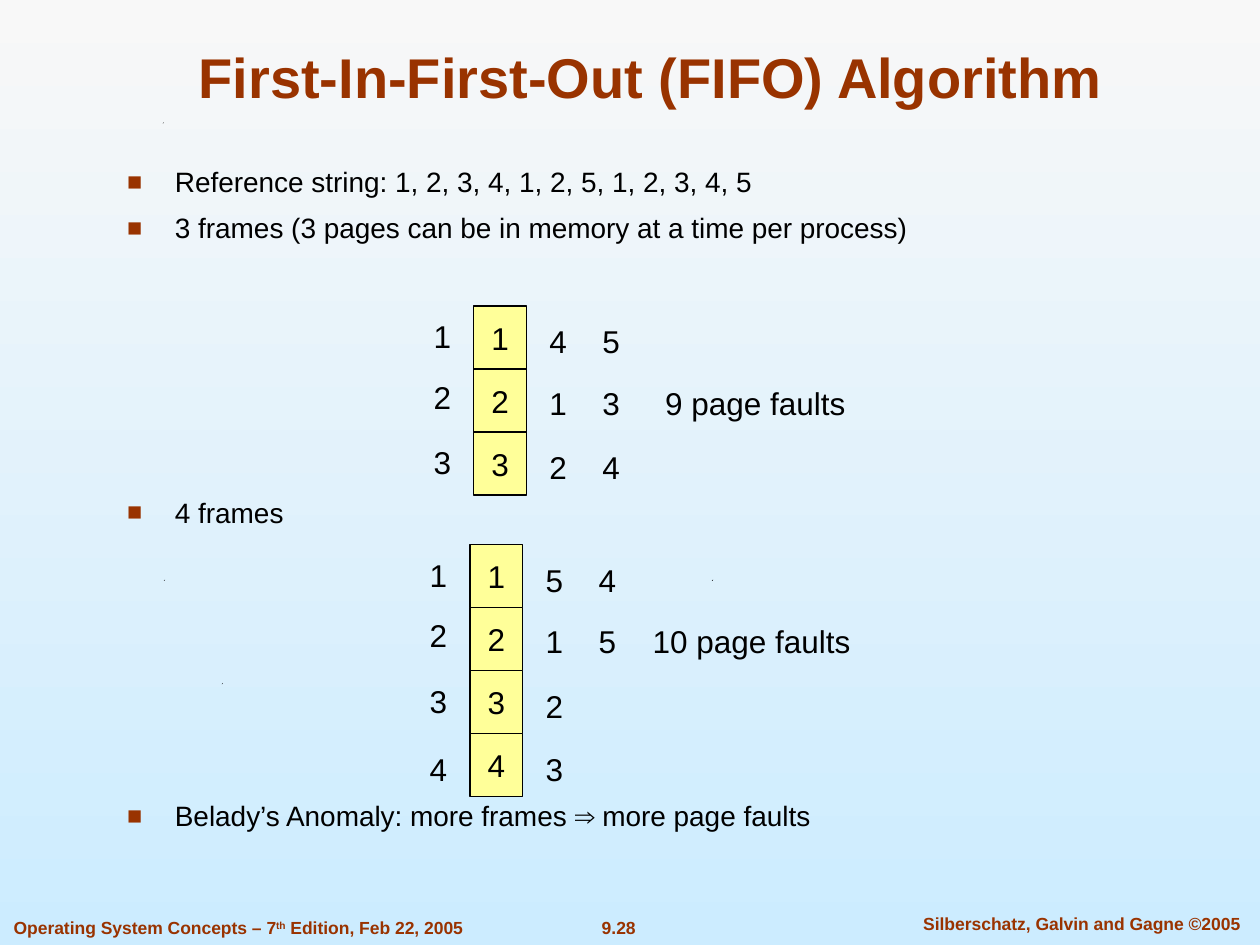
from lxml.etree import SubElement
from pptx import Presentation
from pptx.dml.color import RGBColor
from pptx.enum.shapes import MSO_SHAPE
from pptx.enum.text import MSO_ANCHOR, PP_ALIGN
from pptx.oxml.ns import qn
from pptx.util import Inches, Pt

COLORS = {
    "rust": "993300",
    "black": "000000",
    "frame": "FFFF99",
    "sky_top": "F8F8F8",
    "sky_bottom": "CCECFF",
}
FONT = "Arial"
FRAME_WIDTH, FRAME_HEIGHT = 0.42, 0.5
LABEL_TOPS = (0.04, 0.52, 1.04, 1.58)
LOAD_TOPS = (0.08, 0.57, 1.08, 1.58)


def color(name):
    return RGBColor.from_string(COLORS[name])


def add_span(para, text, size, color_name="black", bold=False):
    span = para.add_run()
    span.text = text
    span.font.name = FONT
    span.font.size = Pt(size)
    span.font.bold = bold
    span.font.color.rgb = color(color_name)
    return span


def add_box(page, left, top, width, height, anchor=MSO_ANCHOR.TOP, align=PP_ALIGN.CENTER, wrap=False):
    box = page.shapes.add_textbox(Inches(left), Inches(top), Inches(width), Inches(height))
    box.text_frame.word_wrap = wrap
    box.text_frame.vertical_anchor = anchor
    box.text_frame.paragraphs[0].alignment = align
    return box


def add_background(page):
    fill = page.background.fill
    fill.gradient()
    fill.gradient_angle = 270
    for stop, position, name in zip(fill.gradient_stops, (0, 1), ("sky_top", "sky_bottom")):
        stop.position = position
        stop.color.rgb = color(name)


def add_speck(page, left, top):
    size = 0.01
    builder = page.shapes.build_freeform(Inches(left), Inches(top + size))
    builder.add_line_segments([(Inches(left + size), Inches(top)), (Inches(left + size / 2), Inches(top + size))])
    speck = builder.convert_to_shape()
    speck.shadow.inherit = False
    speck.fill.solid()
    speck.fill.fore_color.rgb = color("black")
    speck.line.fill.background()


def add_title(page, left, top, width, height):
    box = add_box(page, left, top, width, height, MSO_ANCHOR.BOTTOM, wrap=True)
    add_span(box.text_frame.paragraphs[0], "First-In-First-Out (FIFO) Algorithm", 32, "rust", True)


def add_bullet(para):
    properties = para._p.get_or_add_pPr()
    properties.set("marL", str(Inches(0.38)))
    properties.set("indent", str(-Inches(0.38)))
    bullet_color = SubElement(properties, qn("a:buClr"))
    SubElement(bullet_color, qn("a:srgbClr"), val=COLORS["rust"])
    SubElement(properties, qn("a:buSzPct"), val="90000")
    SubElement(properties, qn("a:buFont"), typeface=FONT)
    SubElement(properties, qn("a:buChar"), char="■")


def add_body(page, left, top, width, height):
    box = add_box(page, left, top, width, height, align=PP_ALIGN.LEFT, wrap=True)
    frame = box.text_frame
    bullets = (
        (0, "Reference string: 1, 2, 3, 4, 1, 2, 5, 1, 2, 3, 4, 5"),
        (7, "3 frames (3 pages can be in memory at a time per process)"),
        (143.4, "4 frames"),
        (154.2, "Belady’s Anomaly: more frames ⇒ more page faults"),
    )
    for index, (gap, text) in enumerate(bullets):
        para = frame.add_paragraph() if index else frame.paragraphs[0]
        add_bullet(para)
        para.space_before = Pt(gap)
        add_span(para, text, 16)


def add_frame(page, left, top, text):
    box = page.shapes.add_shape(
        MSO_SHAPE.RECTANGLE, Inches(left), Inches(top), Inches(FRAME_WIDTH), Inches(FRAME_HEIGHT)
    )
    box.shadow.inherit = False
    box.fill.solid()
    box.fill.fore_color.rgb = color("frame")
    box.line.color.rgb = color("black")
    box.line.width = Pt(0.75)
    box.text_frame.word_wrap = False
    box.text_frame.vertical_anchor = MSO_ANCHOR.MIDDLE
    para = box.text_frame.paragraphs[0]
    para.alignment = PP_ALIGN.CENTER
    add_span(para, text, 18)


def add_label(page, left, top, text, width=0.34):
    box = add_box(page, left, top, width, 0.4, MSO_ANCHOR.MIDDLE)
    add_span(box.text_frame.paragraphs[0], text, 18)


def add_memory(page, left, top, frames, loads, faults):
    for row, text in enumerate(frames):
        add_frame(page, left, top + row * FRAME_HEIGHT, text)
    columns = ((-0.42, LABEL_TOPS, frames), (0.5, LOAD_TOPS, loads[0]), (0.92, LOAD_TOPS, loads[1]))
    for offset, tops, values in columns:
        for row_top, text in zip(tops, values):
            add_label(page, left + offset, top + row_top, text)
    add_label(page, left + 1.35, top + LOAD_TOPS[1], faults, 1.77)


def add_footer(page, top, height):
    edition = add_box(page, 0.01, top, 4.3, height, align=PP_ALIGN.LEFT, wrap=True)
    para = edition.text_frame.paragraphs[0]
    add_span(para, "Operating System Concepts – 7", 10, "rust", True)
    ordinal = add_span(para, "th", 10, "rust", True)
    ordinal._r.get_or_add_rPr().set("baseline", "30000")
    add_span(para, " Edition, Feb 22, 2005", 10, "rust", True)
    number = add_box(page, 4.42, top, 0.98, height)
    add_span(number.text_frame.paragraphs[0], "9.28", 10, "rust", True)
    rights = add_box(page, 7.1, top - 0.03, 2.97, height, wrap=True)
    add_span(rights.text_frame.paragraphs[0], "Silberschatz, Galvin and Gagne ©2005", 10, "rust", True)


def main():
    deck = Presentation()
    deck.slide_width, deck.slide_height = Inches(10), Inches(7.5)
    page = deck.slides.add_slide(deck.slide_layouts[6])
    add_background(page)
    for left, top in ((1.76, 5.42), (1.3, 4.6), (5.65, 4.6), (1.29, 0.97)):
        add_speck(page, left, top)
    add_footer(page, 7.23, 0.27)
    add_title(page, 0.75, 0.25, 8.83, 0.67)
    add_body(page, 0.91, 1.26, 7.69, 6.2)
    add_memory(page, 3.76, 2.43, "123", ("412", "534"), "9 page faults")
    add_memory(page, 3.73, 4.32, "1234", ("5123", "45"), "10 page faults")
    deck.save("out.pptx")


if __name__ == "__main__":
    main()
